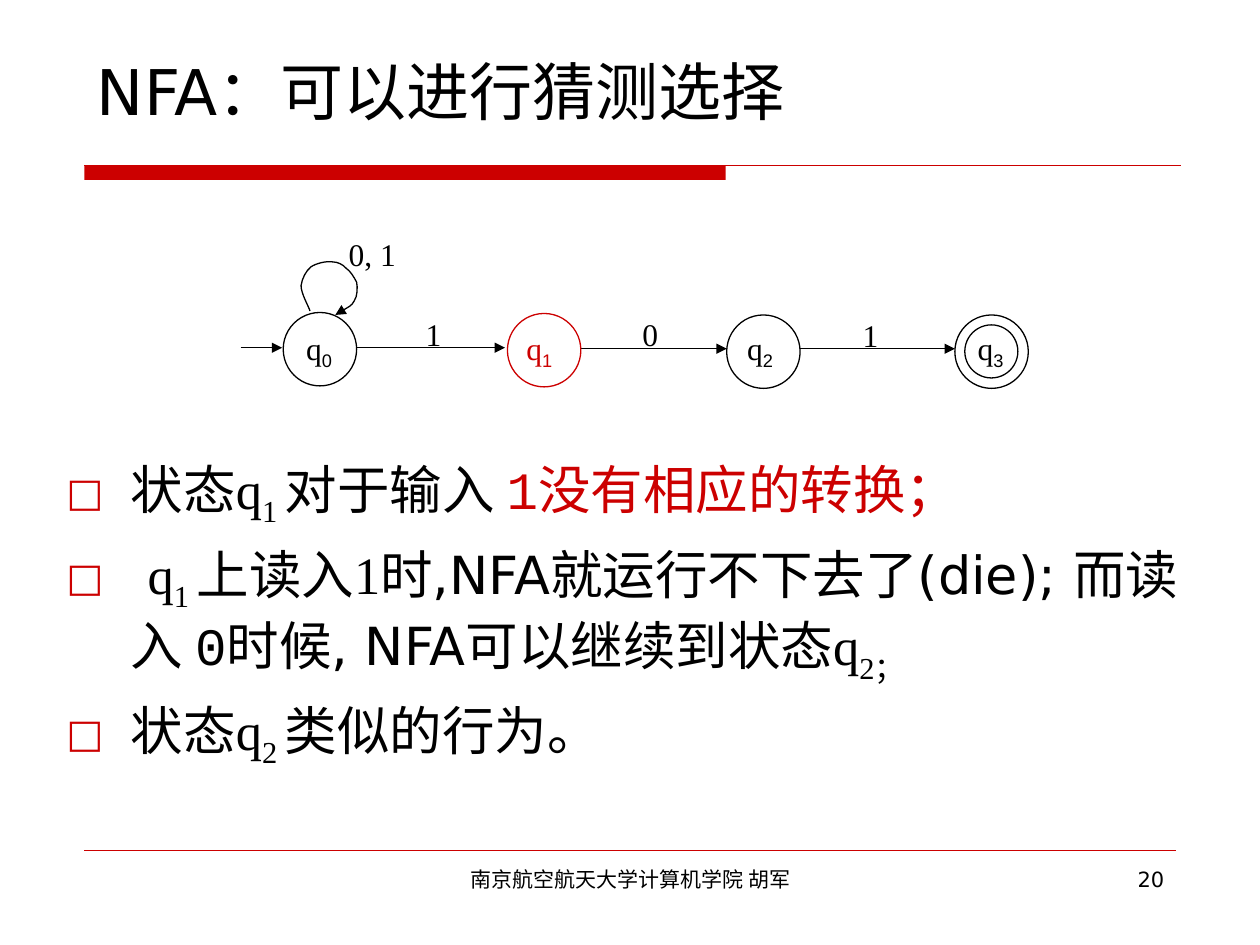
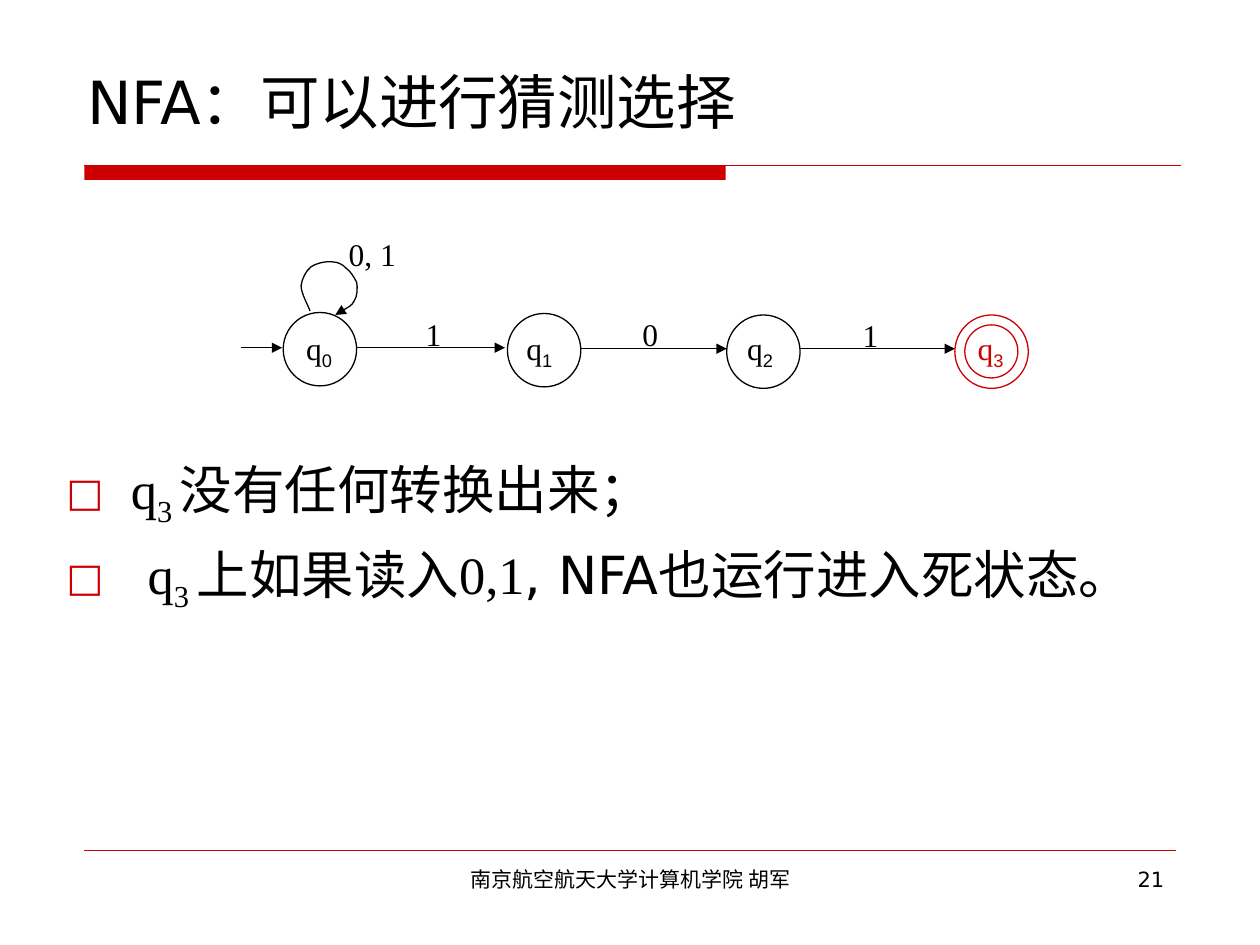
from dataclasses import dataclass

from lxml import etree
from pptx import Presentation
from pptx import util as u
from pptx.dml.color import RGBColor
from pptx.enum import shapes, text
from pptx.oxml import ns

BLACK = RGBColor(0x00, 0x00, 0x00)
WHITE = RGBColor(0xFF, 0xFF, 0xFF)
RED = RGBColor(0xCC, 0x00, 0x00)
SANS, SERIF, MONO, ARIAL = "DejaVu Sans", "Times New Roman", "Courier New", "Arial"
TITLE = "NFA：可以进行猜测选择"
FOOTER = "南京航空航天大学计算机学院 胡军"

STATES = [("0", 0.86, 1.68, 1.07), ("1", 5.38, 1.7, 5.51),
          ("2", 9.8, 1.73, 9.96), ("3", 14.4, 1.73, 14.61)]
TRANSITIONS = [(0, 0.84, 2.39), (2.34, 5.33, 2.39), (6.81, 9.8, 2.41), (11.2, 14.4, 2.41)]
INPUTS = [("0, 1", 1.93, 0, 1.52), ("1", 3.48, 1.6, 0.86),
          ("0", 7.85, 1.6, 0.86), ("1", 12.29, 1.63, 0.86)]
LOOP = [(1.4, 1.65), (1.37, 1.55), (1.22, 1.3), (1.22, 1.14),
        (1.24, 0.99), (1.32, 0.84), (1.42, 0.76),
        (1.52, 0.69), (1.73, 0.64), (1.85, 0.66),
        (1.96, 0.66), (2.06, 0.71), (2.13, 0.79),
        (2.21, 0.84), (2.29, 0.97), (2.34, 1.07),
        (2.36, 1.17), (2.36, 1.35), (2.29, 1.45),
        (2.24, 1.55), (1.98, 1.68), (1.91, 1.73)]


@dataclass
class Piece:
    """A stretch of text in one font, optionally lowered as a subscript."""
    wording: str
    font: str = SANS
    color: RGBColor = BLACK
    low: bool = False


def state_name(index, color=BLACK, index_font=SERIF):
    """Return the pieces of a state name such as q with a subscript."""
    return [Piece("q", SERIF, color), Piece(index, index_font, color, True)]


def write(paragraph, pieces, size):
    """Write pieces into a paragraph, sharing whatever they agree on."""
    paragraph.font.size = u.Pt(size)
    fonts = {piece.font for piece in pieces}
    colors = {piece.color for piece in pieces}
    if len(fonts) == 1:
        paragraph.font.name = pieces[0].font
    if len(colors) == 1:
        paragraph.font.color.rgb = pieces[0].color
    for piece in pieces:
        run = paragraph.add_run()
        run.text = piece.wording
        if len(fonts) > 1:
            run.font.name = piece.font
        if len(colors) > 1:
            run.font.color.rgb = piece.color
        if piece.low:
            run._r.get_or_add_rPr().set("baseline", "-25000")


def add_label(slide, box, pieces, size, align=text.PP_ALIGN.LEFT, wrap=True):
    """Add a one-paragraph text box; box is left, top, width, height in cm."""
    frame = slide.shapes.add_textbox(*map(u.Cm, box)).text_frame
    frame.word_wrap = wrap
    frame.paragraphs[0].alignment = align
    write(frame.paragraphs[0], pieces, size)


def add_arrowhead(line):
    """Put a triangle at the end of a line."""
    etree.SubElement(line._get_or_add_ln(), ns.qn("a:tailEnd"), type="triangle")


def add_rule(slide, start, end, color, width=0.75, arrow=False):
    """Add a straight line between two points in cm."""
    rule = slide.shapes.add_connector(shapes.MSO_CONNECTOR.STRAIGHT, *map(u.Cm, start + end))
    rule.line.color.rgb = color
    rule.line.width = u.Pt(width)
    if arrow:
        add_arrowhead(rule.line)
    etree.SubElement(rule._element.spPr, ns.qn("a:effectLst"))


def add_circle(slide, left, top, size, color, filled=True):
    """Add an outlined circle."""
    circle = slide.shapes.add_shape(shapes.MSO_SHAPE.OVAL, *map(u.Cm, (left, top, size, size)))
    circle.shadow.inherit = False
    if filled:
        circle.fill.solid()
        circle.fill.fore_color.rgb = WHITE
    else:
        circle.fill.background()
    circle.line.color.rgb = color
    circle.line.width = u.Pt(0.75)


def add_loop(slide, left, top):
    """Add the curved transition from the first state to itself."""
    points = [(u.Cm(left + x), u.Cm(top + y)) for x, y in LOOP]
    builder = slide.shapes.build_freeform(*points[0])
    builder.add_line_segments(points[1:], close=False)
    loop = builder.convert_to_shape()
    outline = loop._element.find(".//" + ns.qn("a:path"))
    segments = outline.findall(ns.qn("a:lnTo"))
    for first in range(0, len(segments), 3):
        curve = etree.SubElement(outline, ns.qn("a:cubicBezTo"))
        for segment in segments[first:first + 3]:
            curve.append(segment[0])
            outline.remove(segment)
    loop.shadow.inherit = False
    loop.fill.background()
    loop.line.color.rgb = BLACK
    loop.line.width = u.Pt(0.75)
    add_arrowhead(loop.line)


def add_automaton(slide, left, top, marked):
    """Draw the automaton from its top left corner, with one state in red."""
    for start, end, level in TRANSITIONS:
        add_rule(slide, (left + start, top + level), (left + end, top + level), BLACK, arrow=True)
    add_loop(slide, left, top)
    for index, x, y, name_x in STATES:
        color = RED if index == marked else BLACK
        add_circle(slide, left + x, top + y, 1.48, color)
        if index == "3":
            add_circle(slide, left + x + 0.2, top + y + 0.2, 1.07, color, filled=False)
        add_label(slide, (left + name_x, top + 1.88, 1.07, 1.12),
                  state_name(index, color, ARIAL), 18)
    for symbol, x, y, width in INPUTS:
        add_label(slide, (left + x, top + y, width, 1.02), [Piece(symbol, SERIF)], 18, wrap=False)


def add_bullet(paragraph):
    """Give a paragraph a hanging red square."""
    properties = paragraph._p.get_or_add_pPr()
    properties.set("marL", str(u.Cm(1.3)))
    properties.set("indent", str(u.Cm(-1.3)))
    color = etree.SubElement(properties, ns.qn("a:buClr"))
    etree.SubElement(color, ns.qn("a:srgbClr"), val=str(RED))
    etree.SubElement(properties, ns.qn("a:buSzPct"), val="75000")
    etree.SubElement(properties, ns.qn("a:buFont"), typeface=SANS)
    etree.SubElement(properties, ns.qn("a:buChar"), char="□")


def add_points(slide, box, points):
    """Add the bulleted explanation in a box given in cm."""
    frame = slide.shapes.add_textbox(*map(u.Cm, box)).text_frame
    frame.word_wrap = True
    for number, pieces in enumerate(points):
        paragraph = frame.add_paragraph() if number else frame.paragraphs[0]
        add_bullet(paragraph)
        if number:
            paragraph.space_before = u.Pt(7.5)
        write(paragraph, pieces, 30)


def add_title(slide, left, top, size):
    """Move and format the title placeholder."""
    title = slide.shapes.title
    title.left, title.top, title.width, title.height = map(u.Cm, (left, top, 23.22, 1.83))
    frame = title.text_frame
    frame.auto_size = text.MSO_AUTO_SIZE.NONE
    frame.vertical_anchor = text.MSO_ANCHOR.MIDDLE
    frame.paragraphs[0].alignment = text.PP_ALIGN.LEFT
    write(frame.paragraphs[0], [Piece(TITLE)], size)


def add_frame(slide, number):
    """Add the band under the title, the footer line, footer and page number."""
    band = slide.shapes.add_shape(shapes.MSO_SHAPE.RECTANGLE,
                                  *map(u.Cm, (1.7, 3.33, 12.93, 0.3)))
    band.shadow.inherit = False
    band.fill.solid()
    band.fill.fore_color.rgb = RED
    band.line.fill.background()
    add_rule(slide, (1.7, 3.33), (23.8, 3.33), RED)
    add_rule(slide, (1.7, 17.15), (23.7, 17.15), RED, 0.25)
    add_label(slide, (8.69, 17.35, 8.05, 1.32), [Piece(FOOTER)], 12, text.PP_ALIGN.CENTER)
    add_label(slide, (18.21, 17.35, 5.51, 1.32), [Piece(str(number))], 12, text.PP_ALIGN.RIGHT)


def add_nfa_slide(deck, number, title_place, marked, points):
    """Add a slide with the automaton above its explanation."""
    slide = deck.slides.add_slide(deck.slide_layouts[5])
    add_frame(slide, number)
    add_title(slide, *title_place)
    add_automaton(slide, 4.85, 4.62, marked)
    add_points(slide, (1.09, 9.09, 23.22, 8.64), points)


def main():
    """Build and save the slides."""
    deck = Presentation()
    deck.slide_width, deck.slide_height = u.Cm(25.4), u.Cm(19.05)
    add_nfa_slide(deck, 20, (1.7, 0.91, 36), "1", [
        [Piece("状态"), *state_name("1 "), Piece("对于输入 "),
         Piece("1没有相应的转换；", MONO, RED)],
        [Piece(" "), *state_name("1 "), Piece("上读入1时", SERIF),
         Piece(",NFA就运行不下去了(die); 而读入 "), Piece("0时候", MONO),
         Piece(", NFA可以继续到状态"), *state_name("2；")],
        [Piece("状态"), *state_name("2 "), Piece("类似的行为。", SERIF)],
    ])
    add_nfa_slide(deck, 21, (1.5, 1.12, 34), "3", [
        [*state_name("3 "), Piece("没有任何转换出来；")],
        [Piece(" "), *state_name("3 "), Piece("上如果读入0,1", SERIF),
         Piece(", NFA也运行进入死状态。")],
    ])
    deck.save("out.pptx")


if __name__ == "__main__":
    main()
